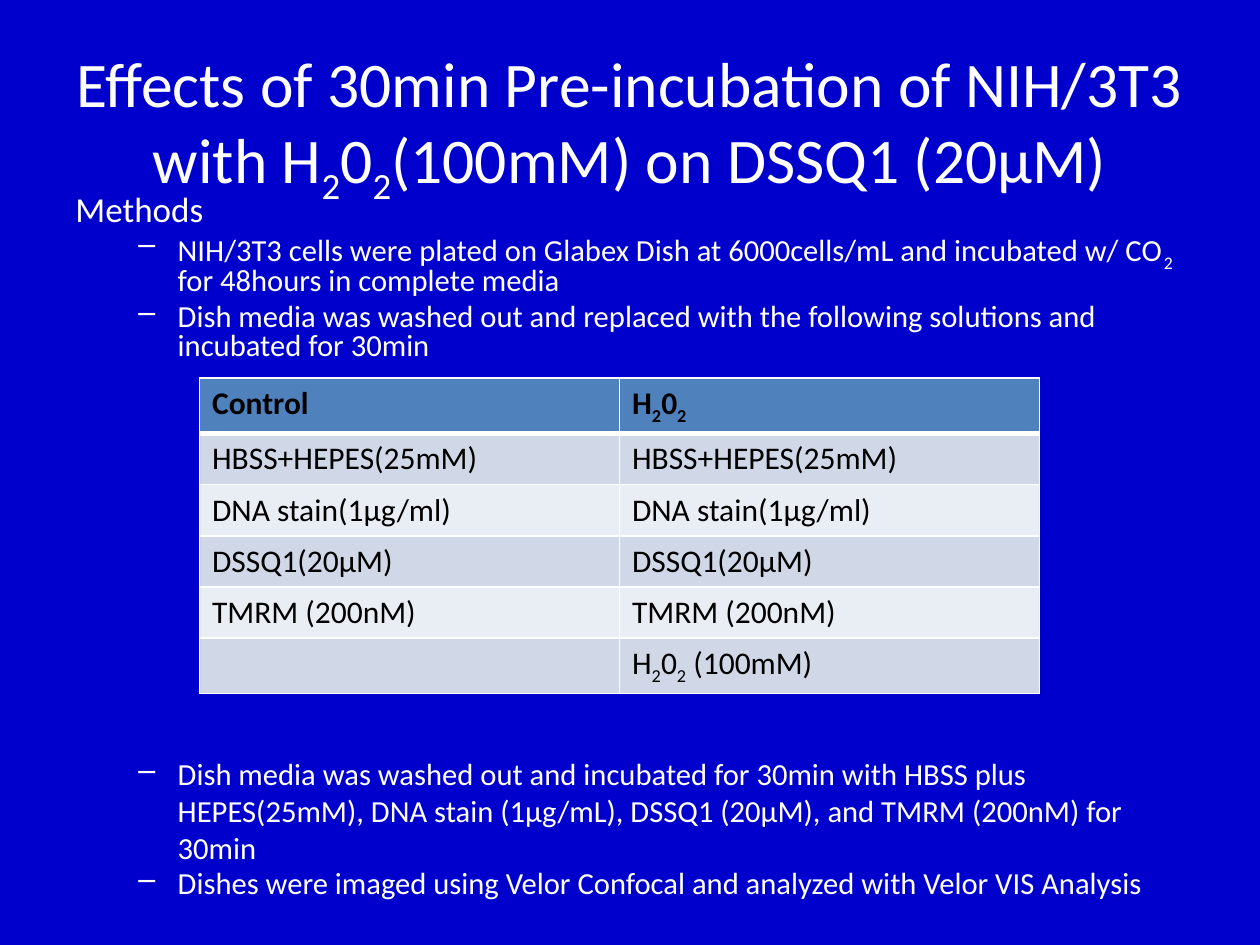
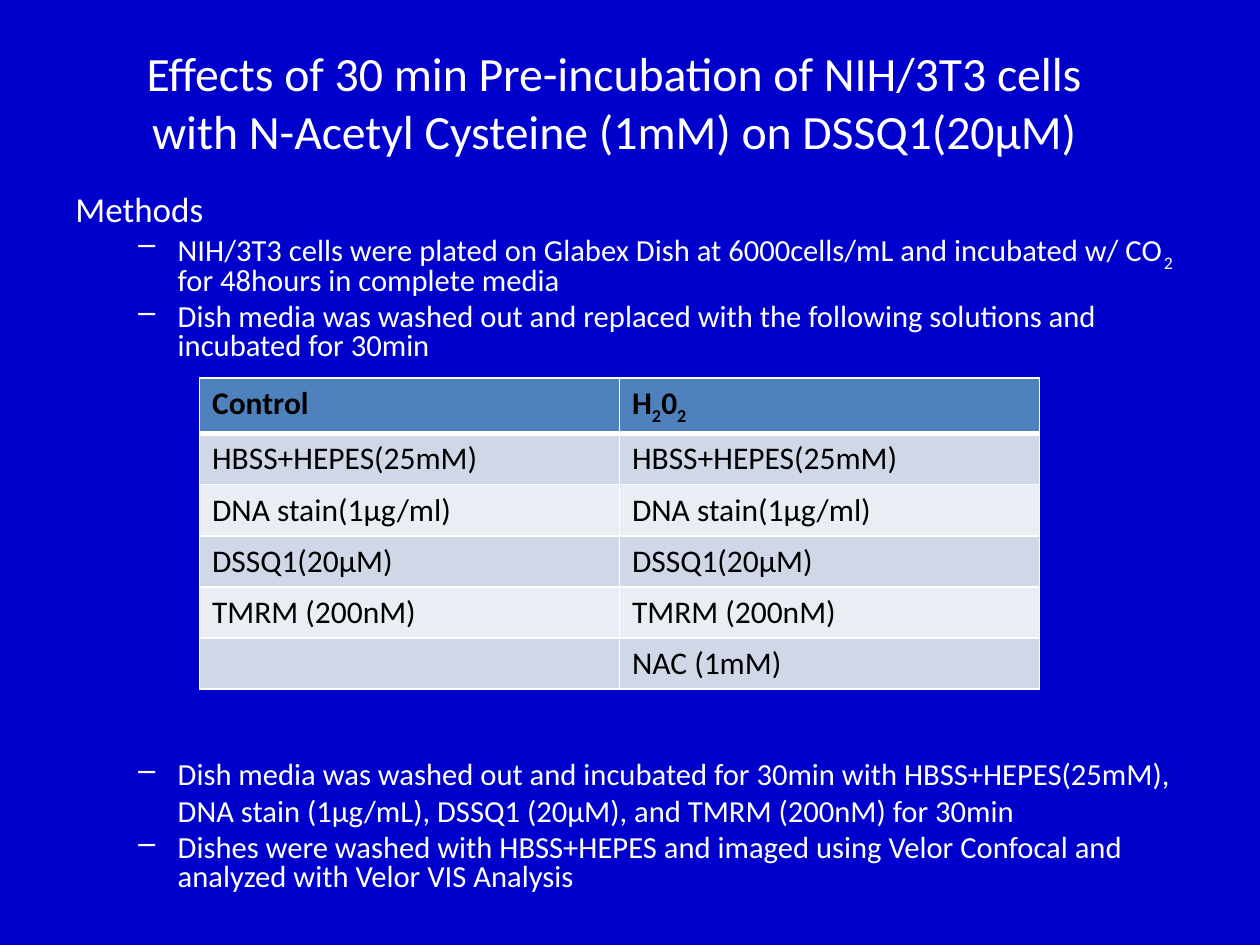
import pptx
import pptx.dml.color
import pptx.enum.text
import pptx.oxml.ns
import pptx.util
from lxml import etree

Pt = pptx.util.Pt
RGB = pptx.dml.color.RGBColor.from_string
qn = pptx.oxml.ns.qn

FONT = "Calibri"
COLORS = {
    "background": "0000CC",
    "light": "FFFFFF",
    "dark": "000000",
    "header": "4F81BD",
    "odd_row": "D0D8E8",
    "even_row": "E9EDF4",
}
BODY_SIZE = 17.5

# In every text, underscores enclose a subscript.
FIRST_STEPS = [
    ("NIH/3T3 cells were plated on Glabex Dish at 6000cells/mL and incubated w/ CO_2_"
     " for 48hours in complete media", 0.8),
    ("Dish media was washed out and replaced with the following solutions and"
     " incubated for 30min", 0.8),
]
SHARED_SOLUTIONS = ["HBSS+HEPES(25mM)", "DNA stain(1µg/ml)", "DSSQ1(20µM)", "TMRM (200nM)"]
EXPERIMENTS = [
    {
        "title": "Effects of 30min Pre-incubation of NIH/3T3 with H_2_0_2_(100mM) on DSSQ1 (20µM)",
        "title_size": 36.3,
        "title_left": 36,
        "title_width": 648,
        "added_solution": "H_2_0_2_ (100mM)",
        "last_steps": [
            ("Dish media was washed out and incubated for 30min with HBSS plus HEPES(25mM),"
             " DNA stain (1µg/mL), DSSQ1 (20µM), and TMRM (200nM) for 30min", 1.0),
            ("Dishes were imaged using Velor Confocal and analyzed with Velor VIS Analysis", 0.8),
        ],
    },
    {
        "title": "Effects of 30 min Pre-incubation of NIH/3T3 cells with N-Acetyl Cysteine"
                 " (1mM) on DSSQ1(20µM)",
        "title_size": 27.3,
        "title_left": 54,
        "title_width": 594,
        "added_solution": "NAC (1mM)",
        "last_steps": [
            ("Dish media was washed out and incubated for 30min with HBSS+HEPES(25mM),"
             " DNA stain (1µg/mL), DSSQ1 (20µM), and TMRM (200nM) for 30min", 1.0),
            ("Dishes were washed with HBSS+HEPES and imaged using Velor Confocal and"
             " analyzed with Velor VIS Analysis", 0.8),
        ],
    },
]


def write(para, marked, size, color="light", bold=False):
    """Fill a paragraph, lowering the pieces between underscores."""
    for index, piece in enumerate(marked.split("_")):
        if not piece:
            continue
        span = para.add_run()
        span.text = piece
        span.font.name = FONT
        span.font.size = Pt(size)
        span.font.bold = bold
        span.font.color.rgb = RGB(COLORS[color])
        if index % 2:
            span.font._element.set("baseline", "-25000")


def add_steps(page, top, height, steps, heading=None):
    """Add a box of dashed steps, under a heading if there is one."""
    box = page.shapes.add_textbox(Pt(36), Pt(top), Pt(648), Pt(height))
    frame = box.text_frame
    frame.word_wrap = True
    para = frame.paragraphs[0]
    if heading:
        para.line_spacing = 0.8
        write(para, heading, 20)
    for index, (step, spacing) in enumerate(steps):
        if index or heading:
            para = frame.add_paragraph()
            para.space_before = Pt(3.5)
        para.level = 1
        para.line_spacing = spacing
        props = para._p.get_or_add_pPr()
        props.set("marL", str(Pt(58.5)))
        props.set("indent", str(Pt(-22.5)))
        etree.SubElement(props, qn("a:buChar"), char="–")
        write(para, step, BODY_SIZE)


deck = pptx.Presentation()
deck.slide_width, deck.slide_height = Pt(720), Pt(540)

for experiment in EXPERIMENTS:
    page = deck.slides.add_slide(deck.slide_layouts[6])
    page.background.fill.solid()
    page.background.fill.fore_color.rgb = RGB(COLORS["background"])

    title = page.shapes.add_textbox(
        Pt(experiment["title_left"]), Pt(21.6), Pt(experiment["title_width"]), Pt(90))
    title.text_frame.word_wrap = True
    para = title.text_frame.paragraphs[0]
    para.alignment = pptx.enum.text.PP_ALIGN.CENTER
    write(para, experiment["title"], experiment["title_size"])

    add_steps(page, 108, 104, FIRST_STEPS, heading="Methods")
    add_steps(page, 428, 94, experiment["last_steps"])

    rows = [("Control", "H_2_0_2_")]
    rows += [(solution, solution) for solution in SHARED_SOLUTIONS]
    rows.append(("", experiment["added_solution"]))
    table = page.shapes.add_table(
        len(rows), 2, Pt(114), Pt(216), Pt(480), Pt(29.2 * len(rows))).table
    for column in table.columns:
        column.width = Pt(240)
    for r, row in enumerate(rows):
        table.rows[r].height = Pt(29.2)
        fill = "header" if r == 0 else "odd_row" if r % 2 else "even_row"
        for c, text in enumerate(row):
            cell = table.cell(r, c)
            write(cell.text_frame.paragraphs[0], text, 18, "dark", bold=r == 0)
            props = cell._tc.get_or_add_tcPr()
            for side in ("L", "R", "T", "B"):
                under_header = (r, side) in ((0, "B"), (1, "T"))
                line = etree.SubElement(
                    props, qn("a:ln" + side), w=str(Pt(3 if under_header else 1)))
                paint = etree.SubElement(line, qn("a:solidFill"))
                etree.SubElement(paint, qn("a:srgbClr"), val=COLORS["light"])
            cell.fill.solid()
            cell.fill.fore_color.rgb = RGB(COLORS[fill])

deck.save("out.pptx")
